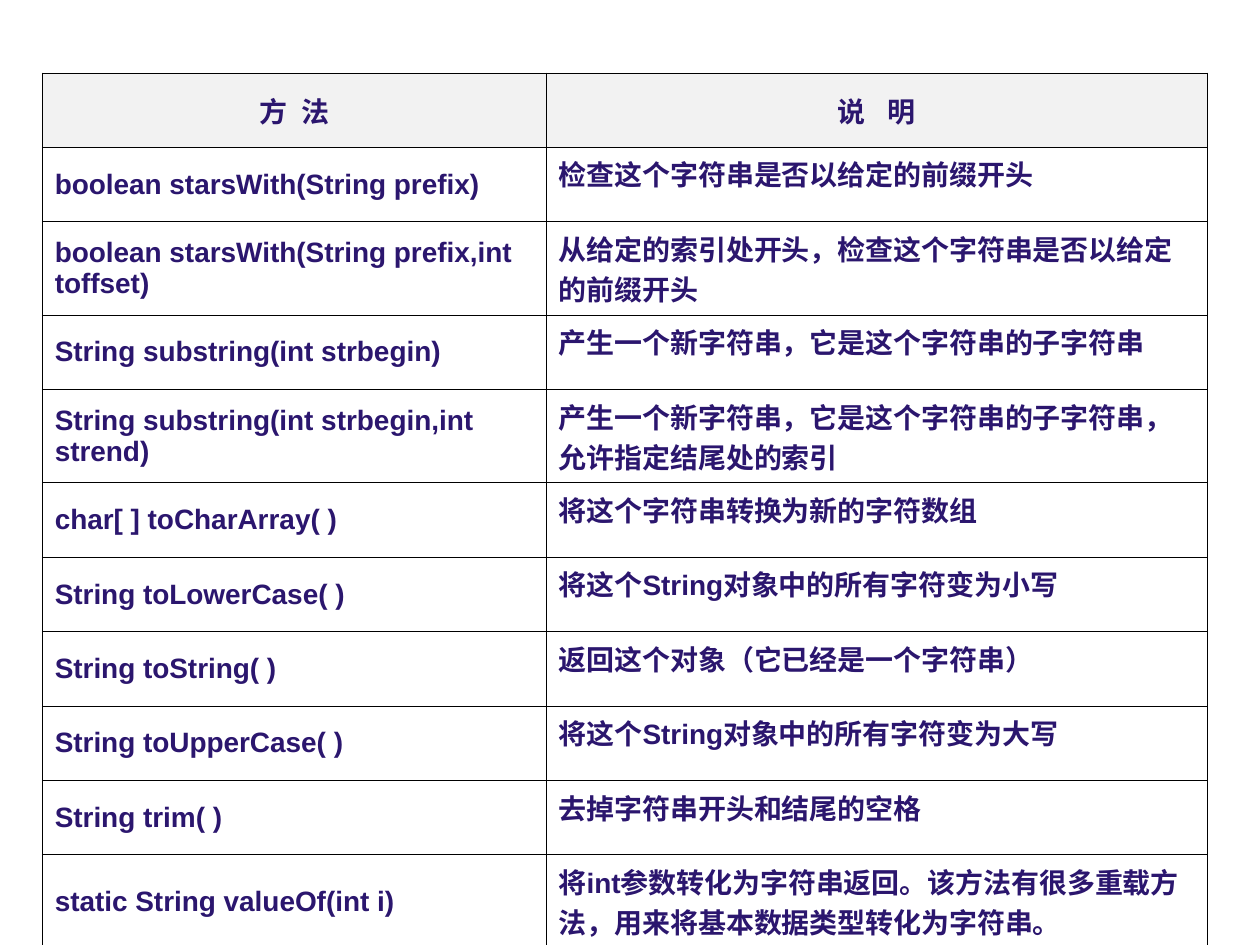
import dataclasses

import lxml.etree
import pptx
import pptx.dml.color
import pptx.enum.text
import pptx.oxml.ns
import pptx.util

Cm = pptx.util.Cm
Pt = pptx.util.Pt
RGB = pptx.dml.color.RGBColor.from_string
ALIGN = pptx.enum.text.PP_ALIGN
ANCHOR = pptx.enum.text.MSO_ANCHOR
qn = pptx.oxml.ns.qn


@dataclasses.dataclass(frozen=True)
class Theme:
    """Colours, fonts and sizes of the slide."""
    text: str = "2B166E"
    header: str = "F2F2F2"
    border: str = "000000"
    latin: str = "Arial"
    asian: str = "Noto Sans CJK SC"
    size: float = 16
    border_width: float = 0.45


class Builder:
    """Draws styled elements on the current slide."""

    def __init__(self, prs, theme):
        """Add a blank slide and keep the theme."""
        self.theme = theme
        self.s = prs.slides.add_slide(prs.slide_layouts[6])

    def border(self, cell):
        """Draw a thin line on every side of a cell."""
        tc_pr = cell._tc.get_or_add_tcPr()
        for i, side in enumerate(("lnL", "lnR", "lnT", "lnB")):
            ln = lxml.etree.Element(qn(f"a:{side}"), w=str(Pt(self.theme.border_width)))
            fill = lxml.etree.SubElement(ln, qn("a:solidFill"))
            lxml.etree.SubElement(fill, qn("a:srgbClr"), val=self.theme.border)
            tc_pr.insert(i, ln)

    def text(self, cell, text, align, anchor, tracking=0):
        """Write one styled run into a cell."""
        cell.vertical_anchor = anchor
        p = cell.text_frame.paragraphs[0]
        p.alignment = align
        r = p.add_run()
        r.text = text
        style = {"size": Pt(self.theme.size), "name": self.theme.latin, "bold": True}
        for name, value in style.items():
            setattr(r.font, name, value)
        r.font.color.rgb = RGB(self.theme.text)
        r_pr = r._r.get_or_add_rPr()
        r_pr.find(qn("a:latin")).addnext(
            lxml.etree.Element(qn("a:ea"), typeface=self.theme.asian))
        if tracking:
            r_pr.set("spc", str(tracking))

    def table(self, left, top, widths, heights, header, rows):
        """Add a bordered table with a shaded, tracked header row."""
        shape = self.s.shapes.add_table(len(heights), len(widths), Cm(left), Cm(top),
                                        Cm(sum(widths)), Cm(sum(heights)))
        table = shape.table
        table.first_row = table.horz_banding = False
        for column, width in zip(table.columns, widths):
            column.width = Cm(width)
        for row, height in zip(table.rows, heights):
            row.height = Cm(height)
        for cell, (text, tracking) in zip(table.rows[0].cells, header):
            self.text(cell, text, ALIGN.CENTER, ANCHOR.MIDDLE, tracking)
            cell.fill.solid()
            cell.fill.fore_color.rgb = RGB(self.theme.header)
            self.border(cell)
        for i, row in enumerate(rows, 1):
            for cell, text, anchor in zip(table.rows[i].cells, row,
                                          (ANCHOR.MIDDLE, ANCHOR.TOP)):
                self.text(cell, text, ALIGN.LEFT, anchor)
                cell.fill.background()
                self.border(cell)


HEADER = [("方 法", 220), ("说 明", 440)]
METHODS = [
    ("boolean starsWith(String prefix)", "检查这个字符串是否以给定的前缀开头"),
    ("boolean starsWith(String prefix,int toffset)",
     "从给定的索引处开头，检查这个字符串是否以给定的前缀开头"),
    ("String substring(int strbegin)", "产生一个新字符串，它是这个字符串的子字符串"),
    ("String substring(int strbegin,int strend)",
     "产生一个新字符串，它是这个字符串的子字符串，允许指定结尾处的索引"),
    ("char[ ] toCharArray( )", "将这个字符串转换为新的字符数组"),
    ("String toLowerCase( )", "将这个String对象中的所有字符变为小写"),
    ("String toString( )", "返回这个对象（它已经是一个字符串）"),
    ("String toUpperCase( )", "将这个String对象中的所有字符变为大写"),
    ("String trim( )", "去掉字符串开头和结尾的空格"),
    ("static String valueOf(int i)",
     "将int参数转化为字符串返回。该方法有很多重载方法，用来将基本数据类型转化为字符串。"),
]
TWO_LINE_ROWS = {2, 4, 10}


def main():
    """Build and save the slide."""
    prs = pptx.Presentation()
    prs.slide_width, prs.slide_height = Cm(25.4), Cm(19.05)
    heights = [1.63 if i in TWO_LINE_ROWS else 1.5 for i in range(len(METHODS) + 1)]
    Builder(prs, Theme()).table(0.85, 1.47, (10.16, 13.33), heights, HEADER, METHODS)
    prs.save("out.pptx")


if __name__ == "__main__":
    main()
